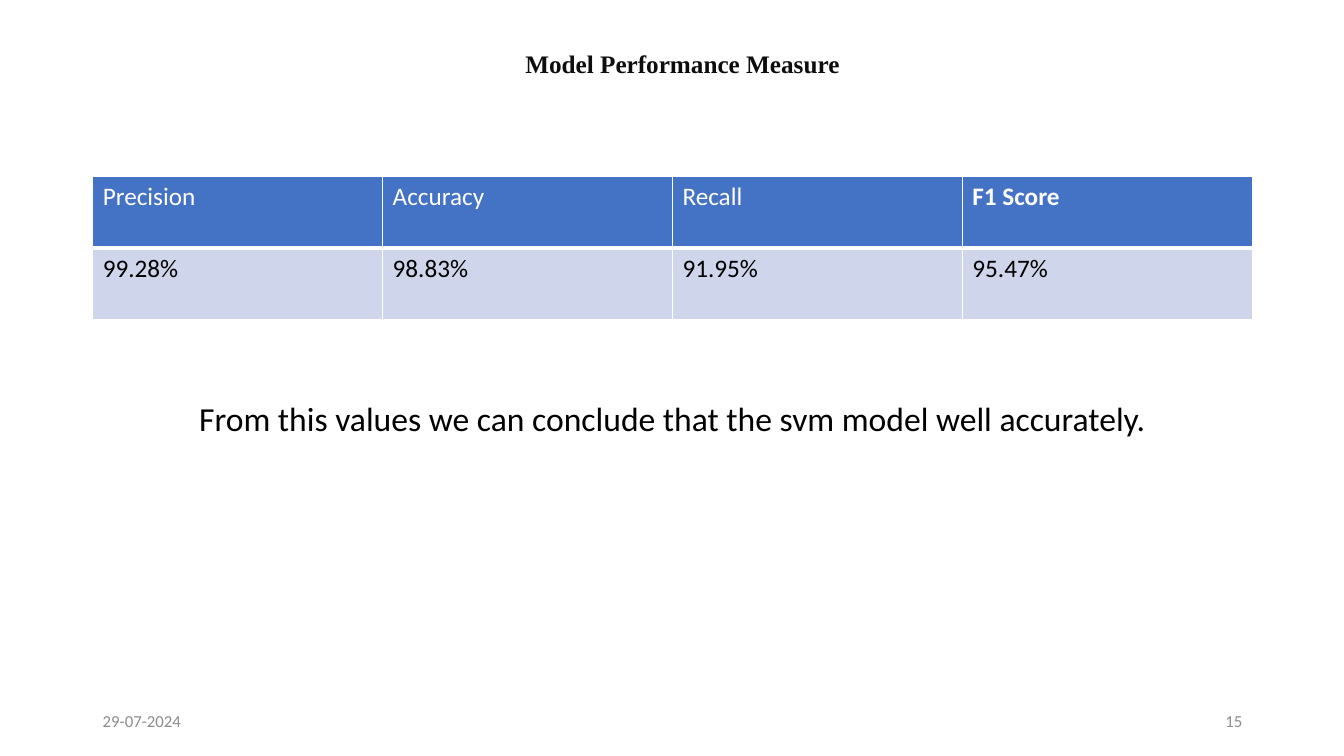
from dataclasses import dataclass

from lxml import etree
from pptx import Presentation
from pptx.dml.color import RGBColor
from pptx.enum.text import MSO_ANCHOR, PP_ALIGN
from pptx.oxml.ns import qn
from pptx.util import Inches, Pt

LEFT, CENTER, RIGHT = PP_ALIGN.LEFT, PP_ALIGN.CENTER, PP_ALIGN.RIGHT
TOP, MIDDLE = MSO_ANCHOR.TOP, MSO_ANCHOR.MIDDLE
BLANK_LAYOUT = 6


@dataclass(frozen=True)
class Theme:
    body_font: str = "Calibri"
    title_font: str = "Times New Roman"
    title_color: str = "0D0D0D"
    text_color: str = "000000"
    footer_color: str = "8C8C8C"
    header_text: str = "FFFFFF"
    header_fill: str = "4472C4"
    value_fill: str = "CFD5EA"
    border: str = "FFFFFF"
    title_size: int = 18
    table_size: int = 18
    conclusion_size: int = 24
    footer_size: int = 12
    thin: int = 1
    thick: int = 3


class SlideBuilder:
    def __init__(self, slide, theme):
        self.slide = slide
        self.theme = theme

    def set_text(self, frame, text, size, color, font=None, bold=False, align=LEFT):
        frame.text = text
        paragraph = frame.paragraphs[0]
        paragraph.alignment = align
        for run in paragraph.runs:
            run.font.name = font or self.theme.body_font
            run.font.size = Pt(size)
            run.font.bold = bold
            run.font.color.rgb = RGBColor.from_string(color)

    def text(self, place, text, size, color, anchor=MIDDLE, spacing=1.0, **style):
        frame = self.slide.shapes.add_textbox(*map(Inches, place)).text_frame
        frame.word_wrap = True
        frame.vertical_anchor = anchor
        self.set_text(frame, text, size, color, **style)
        frame.paragraphs[0].line_spacing = spacing

    def border(self, cell, side, width):
        properties = cell._tc.get_or_add_tcPr()
        line = etree.SubElement(properties, qn(f"a:{side}"), w=str(Pt(width)))
        fill = etree.SubElement(line, qn("a:solidFill"))
        etree.SubElement(fill, qn("a:srgbClr"), val=self.theme.border)

    def table(self, place, rows):
        theme = self.theme
        table = self.slide.shapes.add_table(
            len(rows), len(rows[0]), *map(Inches, place)
        ).table
        table.horz_banding = False
        for row_index, row in enumerate(rows):
            header = row_index == 0
            for column_index, text in enumerate(row):
                cell = table.cell(row_index, column_index)
                color = theme.header_text if header else theme.text_color
                self.set_text(cell.text_frame, text, theme.table_size, color,
                              bold=text == "F1 Score")
                for side in ("lnL", "lnR", "lnT", "lnB"):
                    divider = side == ("lnB" if header else "lnT")
                    self.border(cell, side, theme.thick if divider else theme.thin)
                cell.fill.solid()
                cell.fill.fore_color.rgb = RGBColor.from_string(
                    theme.header_fill if header else theme.value_fill
                )


def main():
    presentation = Presentation()
    presentation.slide_width = Inches(13.33)
    presentation.slide_height = Inches(7.5)
    theme = Theme()
    slide = presentation.slides.add_slide(presentation.slide_layouts[BLANK_LAYOUT])
    builder = SlideBuilder(slide, theme)

    builder.text((1.57, 0.4, 10.4, 0.5), "Model Performance Measure",
                 theme.title_size, theme.title_color, spacing=0.9,
                 font=theme.title_font, bold=True, align=CENTER)
    builder.table((0.92, 1.75, 11.5, 1.42), [
        ("Precision", "Accuracy", "Recall", "F1 Score"),
        ("99.28%", "98.83%", "91.95%", "95.47%"),
    ])
    builder.text((1.67, 3.94, 10, 1.81),
                 "From this values we can conclude that the svm model well accurately.",
                 theme.conclusion_size, theme.text_color, anchor=TOP,
                 spacing=0.9, align=CENTER)
    for left, label, align in ((0.92, "29-07-2024", LEFT), (9.42, "15", RIGHT)):
        builder.text((left, 6.95, 3, 0.4), label, theme.footer_size,
                     theme.footer_color, align=align)

    presentation.save("out.pptx")


if __name__ == "__main__":
    main()
